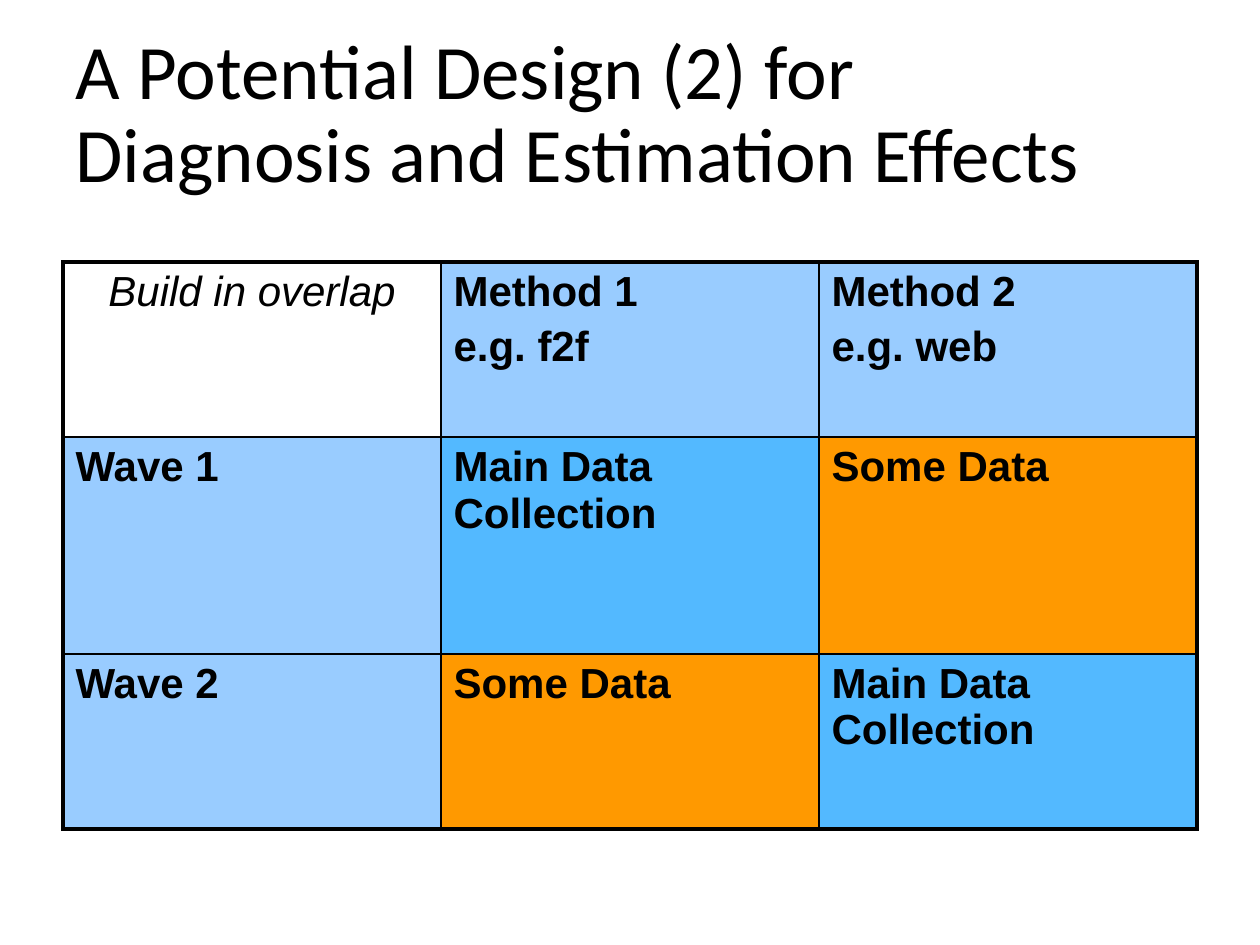
from lxml import etree
from pptx import Presentation
from pptx import util as u
from pptx.dml.color import RGBColor
from pptx.enum import text
from pptx.oxml.ns import qn

COLORS = {"ink": "000000", "header": "99CCFF", "main": "53B9FF", "some": "FF9900"}
TITLE = "A Potential Design (2) for\vDiagnosis and Estimation Effects"
# Each cell: paragraphs, fill name
DESIGN = [
    [(["Build in overlap"], None),
     (["Method 1", "e.g. f2f"], "header"),
     (["Method 2", "e.g. web"], "header")],
    [(["Wave 1"], "header"),
     (["Main Data Collection"], "main"),
     (["Some Data"], "some")],
    [(["Wave 2"], "header"),
     (["Some Data"], "some"),
     (["Main Data Collection"], "main")],
]
COL_WIDTH = 3
ROW_HEIGHTS = [1.39, 1.72, 1.39]
OUTER, INNER = 2.25, 1


def write(tf, paragraphs, font="Arial", size=24, bold=False, italic=False,
          align=text.PP_ALIGN.LEFT, spacing=1.0, gap=4.8):
    for i, line in enumerate(paragraphs):
        p = tf.paragraphs[0] if i == 0 else tf.add_paragraph()
        p.text = line
        p.alignment, p.line_spacing = align, spacing
        p.space_before = u.Pt(gap if i else 0)
        for r in p.runs:
            f = r.font
            f.name, f.size, f.bold, f.italic = font, u.Pt(size), bold, italic
            f.color.rgb = RGBColor.from_string(COLORS["ink"])


def add_borders(cell, **widths):
    """Draw the sides L, R, T, B in points; call before filling the cell."""
    tc_pr = cell._tc.get_or_add_tcPr()
    for side in "LRTB":
        ln = etree.SubElement(tc_pr, qn(f"a:ln{side}"), w=str(u.Pt(widths[side])))
        fill = etree.SubElement(ln, qn("a:solidFill"))
        etree.SubElement(fill, qn("a:srgbClr"), val=COLORS["ink"])


prs = Presentation()
prs.slide_width, prs.slide_height = u.Inches(10), u.Inches(7.5)
s = prs.slides.add_slide(prs.slide_layouts[5])

title = s.shapes.title
title.left, title.top = u.Inches(0.5), u.Inches(0.17)
title.width, title.height = u.Inches(9.25), u.Inches(1.5)
title.text_frame.vertical_anchor = text.MSO_ANCHOR.MIDDLE
write(title.text_frame, [TITLE], font="Calibri", size=44, spacing=0.9)

n_rows, n_cols = len(DESIGN), len(DESIGN[0])
table = s.shapes.add_table(n_rows, n_cols, u.Inches(0.5), u.Inches(2.08),
                           u.Inches(COL_WIDTH * n_cols), u.Inches(sum(ROW_HEIGHTS))).table
table.first_row = table.horz_banding = False
for col in table.columns:
    col.width = u.Inches(COL_WIDTH)

for i, (row, height) in enumerate(zip(DESIGN, ROW_HEIGHTS)):
    table.rows[i].height = u.Inches(height)
    for j, (paragraphs, fill) in enumerate(row):
        cell = table.cell(i, j)
        add_borders(cell,
                    L=INNER if j else OUTER,
                    R=OUTER if j == n_cols - 1 else INNER,
                    T=INNER if i else OUTER,
                    B=OUTER if i == n_rows - 1 else INNER)
        if fill:
            cell.fill.solid()
            cell.fill.fore_color.rgb = RGBColor.from_string(COLORS[fill])
            write(cell.text_frame, paragraphs, bold=True)
        else:
            cell.fill.background()
            write(cell.text_frame, paragraphs, italic=True, align=text.PP_ALIGN.CENTER)

prs.save("out.pptx")
